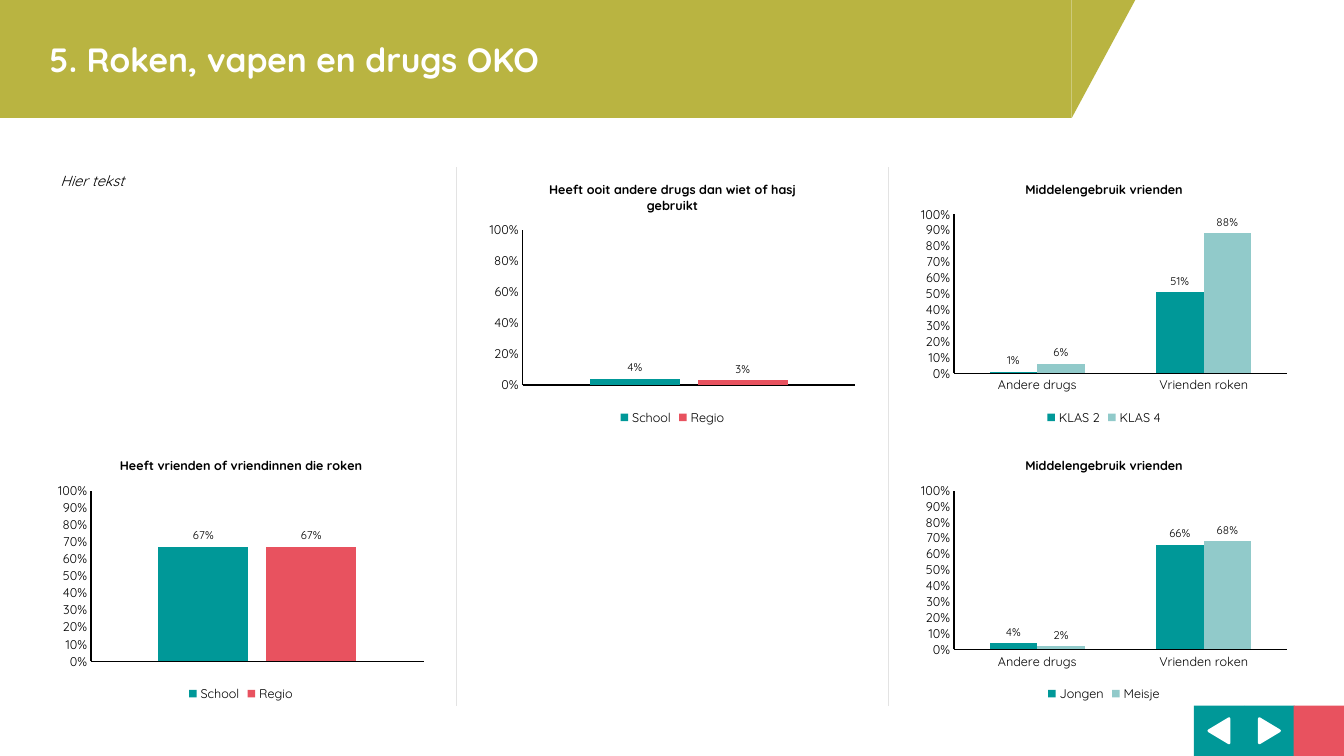
import pptx
import pptx.util
import pptx.chart.data
import pptx.dml.color
import pptx.enum.chart
import pptx.enum.shapes
import pptx.enum.text
import pptx.oxml.ns
from lxml import etree

Inches = pptx.util.Inches
Pt = pptx.util.Pt
RGBColor = pptx.dml.color.RGBColor
Shape = pptx.enum.shapes.MSO_SHAPE
Chart = pptx.enum.chart

TEAL = RGBColor(0x00, 0x98, 0x98)
LIGHT_TEAL = RGBColor(0x91, 0xCA, 0xCA)
CORAL = RGBColor(0xE8, 0x52, 0x5F)
OLIVE = RGBColor(0xB9, 0xB4, 0x41)
GREY = RGBColor(0xE3, 0xE3, 0xE3)
BLACK = RGBColor(0, 0, 0)
WHITE = RGBColor(255, 255, 255)
FONT = "Quicksand"

TITLE = "5. Roken, vapen en drugs OKO"
BODY = "Hier tekst"
TOPICS = ["Andere drugs", "Vrienden roken"]
CHARTS = [
    {"column": 0, "row": 1, "title": "Heeft vrienden of vriendinnen die roken",
     "categories": ["1"], "accent": CORAL, "overlap": -20,
     "series": {"School": [0.67], "Regio": [0.67]}},
    {"column": 1, "row": 0, "title": "Heeft ooit andere drugs dan wiet of hasj gebruikt",
     "categories": ["1"], "accent": CORAL, "overlap": -20,
     "series": {"School": [0.04], "Regio": [0.03]}},
    {"column": 2, "row": 0, "title": "Middelengebruik vrienden",
     "categories": TOPICS, "accent": LIGHT_TEAL, "overlap": 0,
     "series": {"KLAS 2": [0.01, 0.51], "KLAS 4": [0.06, 0.88]}},
    {"column": 2, "row": 1, "title": "Middelengebruik vrienden",
     "categories": TOPICS, "accent": LIGHT_TEAL, "overlap": 0,
     "series": {"Jongen": [0.04, 0.66], "Meisje": [0.02, 0.68]}},
]
BUTTONS = [(11.84, TEAL, 270), (12.34, TEAL, 90), (12.83, CORAL, None)]

LEFT, TOP, BOTTOM = 0.5, 1.66, 7
COLUMN_STEP, ROW_STEP = 4.28, 2.74
CHART_WIDTH, CHART_HEIGHT = 3.78, 2.6
BAND_WIDTH, BAND_HEIGHT, SLANT = 10.63, 1.17, 0.63
BUTTON = 0.5
ARROW_WIDTH, ARROW_HEIGHT = 0.24, 0.2


def set_font(font, size, color=BLACK, bold=False, italic=False):
    font.name = FONT
    font.size = Pt(size)
    font.color.rgb = color
    font.bold = bold
    font.italic = italic


def add_filled(slide, kind, left, top, width, height, color):
    shape = slide.shapes.add_shape(kind, Inches(left), Inches(top), Inches(width), Inches(height))
    shape.shadow.inherit = False
    shape.fill.solid()
    shape.fill.fore_color.rgb = color
    shape.line.fill.background()
    return shape


def add_button(slide, left, color, rotation):
    add_filled(slide, Shape.RECTANGLE, left, BOTTOM, BUTTON, BUTTON, color)
    if rotation is None:
        return
    arrow = add_filled(slide, Shape.ISOSCELES_TRIANGLE, left + (BUTTON - ARROW_WIDTH) / 2,
                       BOTTOM + (BUTTON - ARROW_HEIGHT) / 2, ARROW_WIDTH, ARROW_HEIGHT, WHITE)
    arrow.rotation = rotation
    arrow.line.color.rgb = WHITE
    arrow.line.width = Pt(2)
    outline = arrow.line.fill._xPr
    etree.SubElement(outline, pptx.oxml.ns.qn("a:round"))


def add_divider(slide, x):
    divider = slide.shapes.add_connector(pptx.enum.shapes.MSO_CONNECTOR.STRAIGHT,
                                         Inches(x), Inches(TOP), Inches(x), Inches(BOTTOM))
    divider.line.color.rgb = GREY
    divider.line.width = Pt(1)
    etree.SubElement(divider._element.spPr, pptx.oxml.ns.qn("a:effectLst"))


def add_column_chart(slide, content):
    data = pptx.chart.data.CategoryChartData(number_format="0%")
    data.categories = content["categories"]
    for name, values in content["series"].items():
        data.add_series(name, values)
    chart = slide.shapes.add_chart(
        Chart.XL_CHART_TYPE.COLUMN_CLUSTERED,
        Inches(LEFT + content["column"] * COLUMN_STEP), Inches(TOP + content["row"] * ROW_STEP),
        Inches(CHART_WIDTH), Inches(CHART_HEIGHT), data).chart
    chart.font.name = "Calibri"
    chart.font.size = Pt(18)
    chart.font.color.rgb = BLACK

    chart.has_title = True
    chart.chart_title.include_in_layout = False
    heading = chart.chart_title.text_frame
    heading.text = content["title"]
    set_font(heading.paragraphs[0].font, 9, bold=True)
    set_font(heading.paragraphs[0].runs[0].font, 9, bold=True)

    chart.has_legend = True
    chart.legend.position = Chart.XL_LEGEND_POSITION.BOTTOM
    chart.legend.include_in_layout = False
    set_font(chart.legend.font, 9)

    for axis in (chart.category_axis, chart.value_axis):
        axis.has_major_gridlines = False
        axis.major_tick_mark = Chart.XL_TICK_MARK.NONE
        axis.minor_tick_mark = Chart.XL_TICK_MARK.NONE
        axis.format.line.color.rgb = BLACK
        axis.format.line.width = Pt(1)
        set_font(axis.tick_labels.font, 9)
    chart.value_axis.minimum_scale = 0
    chart.value_axis.maximum_scale = 1
    chart.value_axis.tick_labels.number_format = "0%"
    chart.value_axis.tick_labels.number_format_is_linked = False
    if len(content["categories"]) == 1:
        chart.category_axis.tick_label_position = Chart.XL_TICK_LABEL_POSITION.NONE

    plot = chart.plots[0]
    plot.vary_by_categories = False
    plot.gap_width = 150
    plot.overlap = content["overlap"]
    for series, color in zip(plot.series, (TEAL, content["accent"])):
        series.format.fill.solid()
        series.format.fill.fore_color.rgb = color
        labels = series.data_labels
        labels.show_value = True
        labels.position = Chart.XL_LABEL_POSITION.OUTSIDE_END
        labels.number_format = "0%"
        labels.number_format_is_linked = False
        set_font(labels.font, 8)


def main():
    presentation = pptx.Presentation()
    presentation.slide_width = Inches(13.33)
    presentation.slide_height = Inches(7.5)
    slide = presentation.slides.add_slide(presentation.slide_layouts[5])

    title = slide.shapes.title
    title.left, title.top = Inches(0), Inches(0)
    title.width, title.height = Inches(BAND_WIDTH), Inches(BAND_HEIGHT)
    title.fill.solid()
    title.fill.fore_color.rgb = OLIVE
    frame = title.text_frame
    frame.text = TITLE
    frame.margin_left = Inches(0.49)
    frame.auto_size = pptx.enum.text.MSO_AUTO_SIZE.NONE
    frame.vertical_anchor = pptx.enum.text.MSO_ANCHOR.MIDDLE
    frame.paragraphs[0].alignment = pptx.enum.text.PP_ALIGN.LEFT
    set_font(frame.paragraphs[0].font, 24, WHITE, bold=True)

    offset = (BAND_HEIGHT - SLANT) / 2
    slant = add_filled(slide, Shape.RIGHT_TRIANGLE, BAND_WIDTH - offset, offset,
                       BAND_HEIGHT, SLANT, OLIVE)
    slant.rotation = 90

    for button in BUTTONS:
        add_button(slide, *button)
    for column in (1, 2):
        add_divider(slide, LEFT + column * COLUMN_STEP - (COLUMN_STEP - CHART_WIDTH) / 2)

    body = slide.shapes.add_textbox(Inches(LEFT), Inches(TOP), Inches(CHART_WIDTH), Inches(0.28))
    body.text_frame.word_wrap = True
    body.text_frame.auto_size = pptx.enum.text.MSO_AUTO_SIZE.SHAPE_TO_FIT_TEXT
    body.text_frame.text = BODY
    set_font(body.text_frame.paragraphs[0].font, 10.5, italic=True)

    for content in CHARTS:
        add_column_chart(slide, content)
    presentation.save("out.pptx")


if __name__ == "__main__":
    main()
